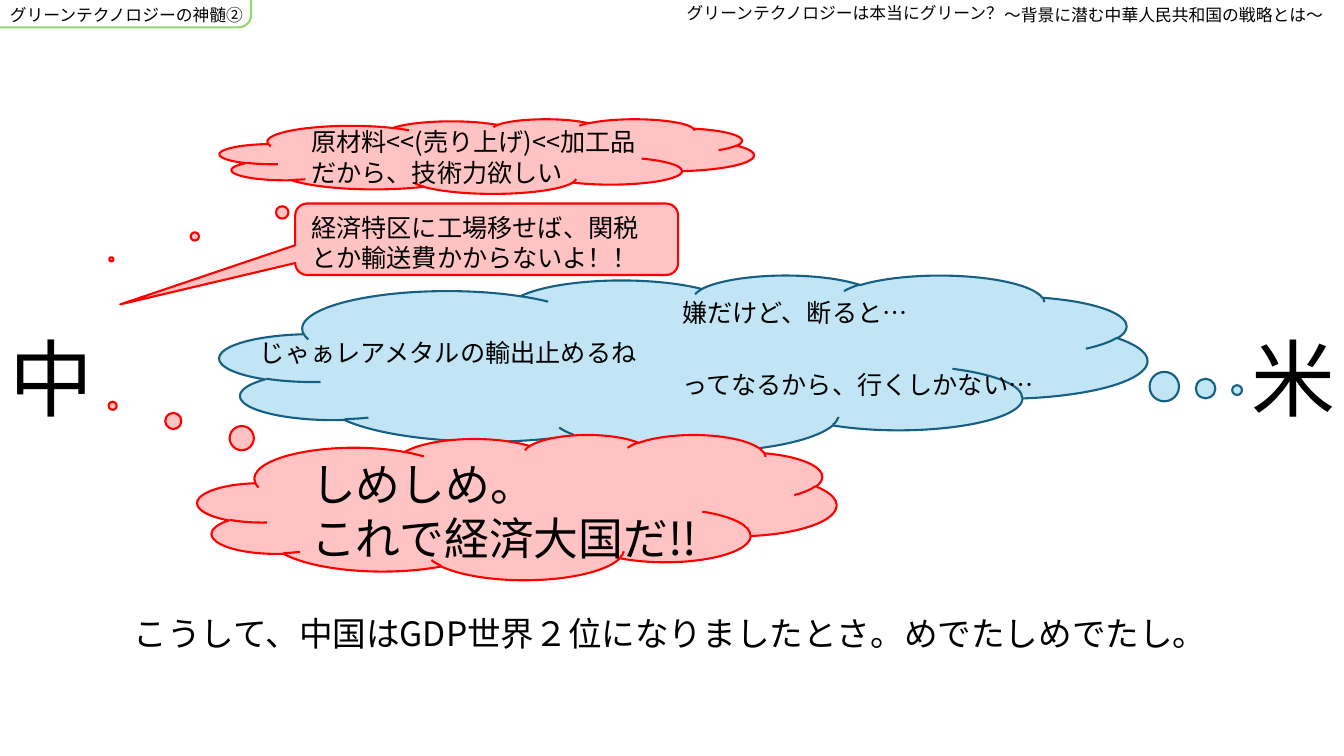
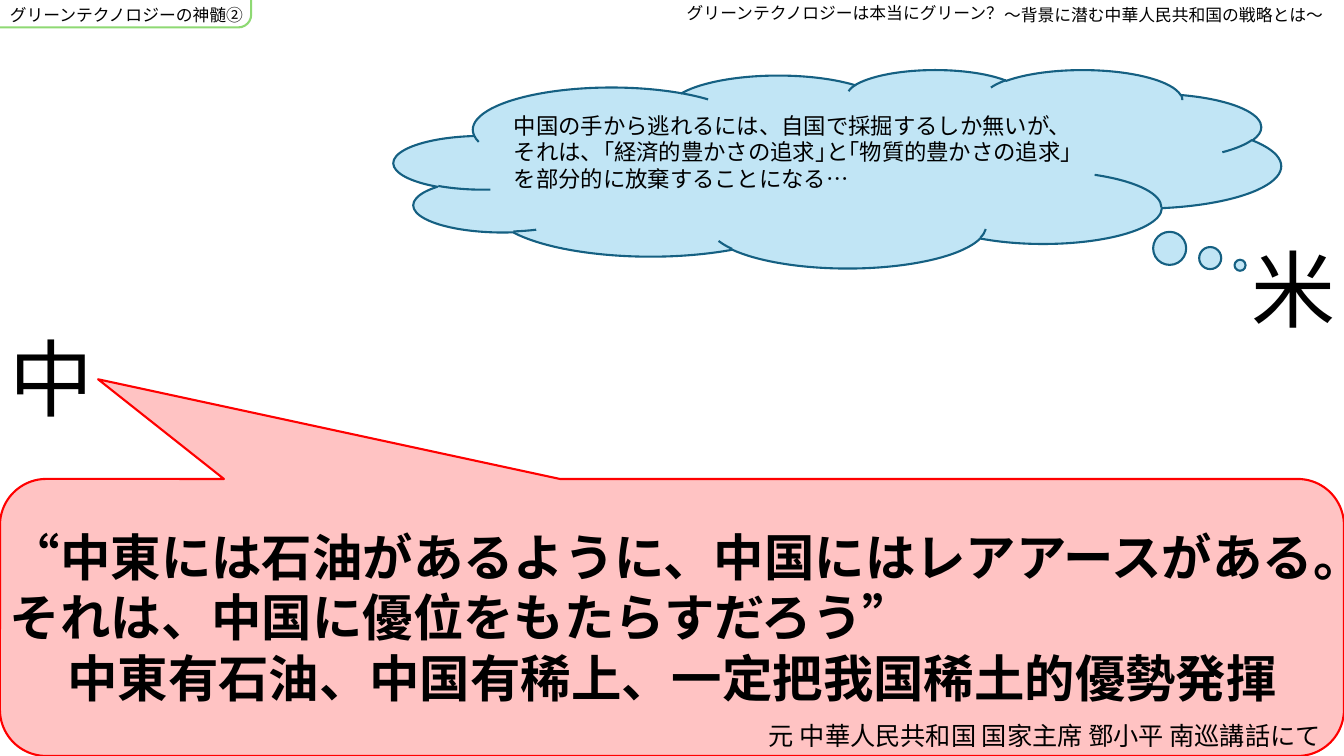
from pptx import Presentation
from pptx.dml.color import RGBColor as RGB
from pptx.enum.shapes import MSO_SHAPE as Shape
from pptx.enum.text import PP_ALIGN as Align
from pptx.oxml.ns import qn
from pptx.util import Cm, Pt

FACE = "Noto Sans CJK JP"
INK = "000000"
LEFT, MID = Align.LEFT, Align.CENTER
# Each side speaks in its own fill and line colour
CHINA = ("FFC3C3", "FF0000")
USA = ("C1E5F5", "156082")
TAB = (None, "8ED973")


def color(code):
    return RGB.from_string(code)


def box(area):
    return [Cm(size) for size in area]


def bubble(slide, kind, area, tone, adjust=()):
    """Add a callout or tab in one of the tones."""
    shape = slide.shapes.add_shape(kind, *box(area))
    shape.shadow.inherit = False
    fill, line = tone
    if fill:
        shape.fill.solid()
        shape.fill.fore_color.rgb = color(fill)
    else:
        shape.fill.background()
    shape.line.color.rgb = color(line)
    shape.line.width = Pt(1.5)
    for index, value in enumerate(adjust):
        shape.adjustments[index] = value


def label(slide, area, lines, size=18, aligns=(), space=None, face=FACE, bold=False):
    """Add a text box with one paragraph per line."""
    frame = slide.shapes.add_textbox(*box(area)).text_frame
    frame.word_wrap = True
    style = {"name": face, "size": Pt(size), "bold": bold}
    for index, line in enumerate(lines):
        para = frame.paragraphs[0] if index == 0 else frame.add_paragraph()
        para.alignment = aligns[index] if aligns else LEFT
        if space:
            para.line_spacing = space
        run = para.add_run()
        run.text = line
        for key, value in style.items():
            setattr(run.font, key, value)
        run.font.color.rgb = color(INK)
        # Japanese glyphs follow the East Asian font
        asian = run.font._element.makeelement(qn("a:ea"), {"typeface": FACE})
        run.font._element.append(asian)


def header(slide):
    """Add the section tab and the running title."""
    bubble(slide, Shape.ROUNDED_RECTANGLE, (-9.93, -1.24, 16.26, 1.93), TAB)
    label(slide, (0, 0, 16.51, 0.76), ["グリーンテクノロジーの神髄②"], 12)
    label(slide, (24.79, 0, 9.07, 0.76), ["～背景に潜む中華人民共和国の戦略とは～"], 12, [MID])
    label(slide, (16.94, 0, 8.71, 0.76), ["グリーンテクノロジーは本当にグリーン？"],
          12, [MID], 0.9, "Arial")


def sides(slide, height):
    """Name both countries; height is the top of the right one."""
    label(slide, (0, 8.1, 2.59, 2.82), ["中"], 60)
    label(slide, (31.29, height, 2.59, 2.82), ["米"], 60)


def trade(slide):
    # Thoughts and speech, from back to front
    cloud, speech = Shape.CLOUD_CALLOUT, Shape.ROUNDED_RECTANGULAR_CALLOUT
    bubble(slide, cloud, (5.54, 6.93, 23.37, 4.45), USA, (0.597, 0.152))
    bubble(slide, cloud, (5.54, 3, 13.46, 1.88), CHINA, (-0.703, 1.381))
    bubble(slide, speech, (7.44, 5.13, 9.65, 1.8), CHINA, (-0.957, 0.912, 0.167))
    bubble(slide, cloud, (4.98, 10.95, 16.1, 3.66), CHINA, (-0.633, -0.698))
    sides(slide, 8.1)

    # Words in the bubbles
    label(slide, (7.59, 3.07, 9.32, 1.8),
          ["原材料<<(売り上げ)<<加工品", "だから、技術力欲しい"])
    label(slide, (7.59, 5.23, 9.32, 1.8),
          ["経済特区に工場移せば、関税とか輸送費かからないよ！！"])
    label(slide, (16.94, 7.37, 9.32, 1.02), ["嫌だけど、断ると…"])
    label(slide, (6.3, 8.38, 10.19, 1.02), ["じゃぁレアメタルの輸出止めるね"])
    label(slide, (16.94, 9.19, 9.65, 1.02), ["ってなるから、行くしかない…"])
    label(slide, (7.59, 11.38, 10.54, 3), ["しめしめ。", "これで経済大国だ!!"], 32)

    # Outcome
    label(slide, (3.12, 15.32, 27.91, 1.27),
          ["こうして、中国はGDP世界２位になりましたとさ。めでたしめでたし。"], 24)


def quote(slide):
    bubble(slide, Shape.ROUNDED_RECTANGULAR_CALLOUT, (0, 12.07, 33.87, 6.98),
           CHINA, (-0.427, -0.86, 0.167))
    bubble(slide, Shape.CLOUD_CALLOUT, (9.93, 1.75, 22.35, 5), USA, (0.454, 0.487))
    sides(slide, 5.87)

    # Thought
    label(slide, (12.7, 2.69, 14.68, 2.31),
          ["中国の手から逃れるには、自国で採掘するしか無いが、",
           "それは、｢経済的豊かさの追求｣と｢物質的豊かさの追求｣を部分的に放棄することになる…"], 16)

    # Quotation and its speaker
    label(slide, (0, 13.13, 33.87, 4.88),
          ["“中東には石油があるように、中国にはレアアースがある。",
           "それは、中国に優位をもたらすだろう”",
           "中東有石油、中国有稀上、一定把我国稀土的優勢発揮"],
          36, [LEFT, LEFT, MID], bold=True)
    label(slide, (19.13, 18.03, 14.73, 1.02),
          ["元 中華人民共和国 国家主席 鄧小平 南巡講話にて"])


def main():
    deck = Presentation()
    deck.slide_width, deck.slide_height = Cm(33.87), Cm(19.05)
    for build in (trade, quote):
        slide = deck.slides.add_slide(deck.slide_layouts[6])
        header(slide)
        build(slide)
    deck.save("out.pptx")


if __name__ == "__main__":
    main()
